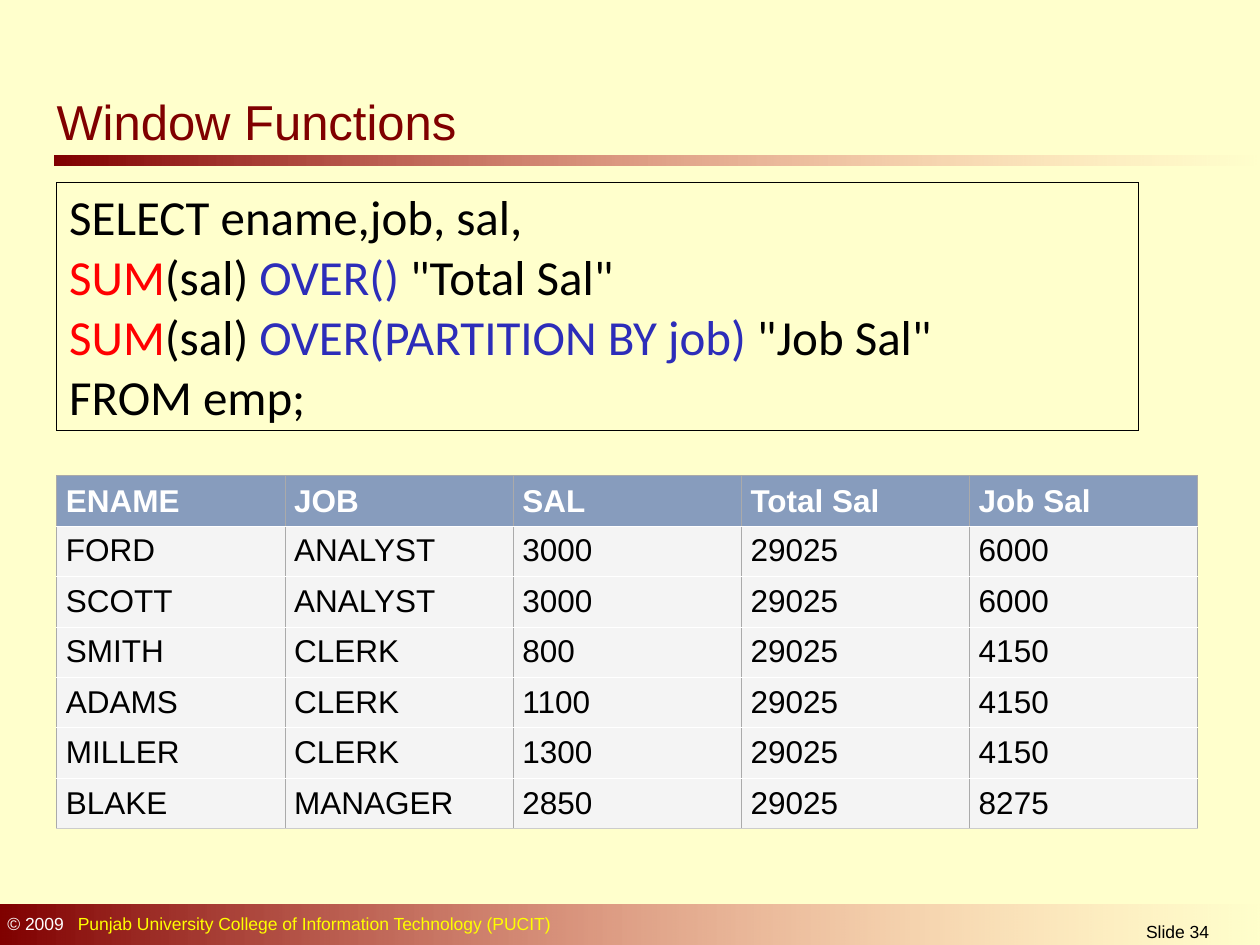
from lxml import etree
from pptx import Presentation
from pptx import util as u
from pptx.dml.color import RGBColor
from pptx.enum import shapes, text
from pptx.oxml import ns

COLORS = {
    "background": "FFFFCC", "maroon": "800000", "rose": "FF8585",
    "white": "FFFFFF", "yellow": "FFFF00", "black": "000000",
    "function": "FF0000", "window": "2D2DB9", "header": "879CBD",
    "body": "F4F4F4", "column_rule": "AAAAAA", "last_rule": "CCCCCC",
}

QUERY = [
    [("SELECT ename,job, sal,", "black")],
    [("SUM", "function"), ("(sal) ", "black"), ("OVER() ", "window"),
     ('"Total Sal"', "black")],
    [("SUM", "function"), ("(sal) ", "black"),
     ("OVER(PARTITION BY job) ", "window"), ('"Job Sal"', "black")],
    [("FROM emp;", "black")],
]

RESULT = [
    ["ENAME", "JOB", "SAL", "Total Sal", "Job Sal"],
    ["FORD", "ANALYST", "3000", "29025", "6000"],
    ["SCOTT", "ANALYST", "3000", "29025", "6000"],
    ["SMITH", "CLERK", "800", "29025", "4150"],
    ["ADAMS", "CLERK", "1100", "29025", "4150"],
    ["MILLER", "CLERK", "1300", "29025", "4150"],
    ["BLAKE", "MANAGER", "2850", "29025", "8275"],
]


def rgb(name):
    """Return the named colour."""
    return RGBColor.from_string(COLORS[name])


def write(paragraph, runs, size, font="Arial", bold=False):
    """Fill a paragraph with (wording, colour) runs in one font."""
    paragraph.font.name = font
    paragraph.font.size = u.Pt(size)
    paragraph.font.bold = bold
    if len(runs) == 1:
        paragraph.font.color.rgb = rgb(runs[0][1])
    for wording, color in runs:
        run = paragraph.add_run()
        run.text = wording
        if len(runs) > 1:
            run.font.color.rgb = rgb(color)


def add_label(slide, left, top, width, height):
    """Add a wrapping text box and return its first paragraph."""
    label = slide.shapes.add_textbox(u.Cm(left), u.Cm(top), u.Cm(width), u.Cm(height))
    label.text_frame.word_wrap = True
    return label.text_frame.paragraphs[0]


def add_fading_bar(slide, left, top, width, height):
    """Add a bar that fades from maroon to nothing."""
    bar = slide.shapes.add_shape(shapes.MSO_SHAPE.RECTANGLE, u.Cm(left), u.Cm(top),
                                 u.Cm(width), u.Cm(height))
    bar.shadow.inherit = False
    bar.line.fill.background()
    bar.fill.gradient()
    bar.fill.gradient_angle = 0
    for stop, color, position in zip(bar.fill.gradient_stops, ("maroon", "rose"), (0, 1)):
        stop.color.rgb = rgb(color)
        stop.position = position
    faded = bar._element.findall(".//" + ns.qn("a:srgbClr"))[-1]
    etree.SubElement(faded, ns.qn("a:alpha"), val="0")


def add_plain_table(slide, rows, columns, left, top, width, height):
    """Add a table without header or banded styling."""
    table = slide.shapes.add_table(rows, columns, u.Cm(left), u.Cm(top),
                                   u.Cm(width), u.Cm(height)).table
    table.first_row = table.horz_banding = False
    return table


def set_borders(cell, width, **sides):
    """Draw the cell borders, given as colour names by side."""
    properties = cell._tc.get_or_add_tcPr()
    for side in "LRTB":
        line = etree.SubElement(properties, ns.qn("a:ln" + side), w=str(u.Pt(width)))
        fill = etree.SubElement(line, ns.qn("a:solidFill"))
        etree.SubElement(fill, ns.qn("a:srgbClr"), val=COLORS[sides[side]])


def add_title(slide, left, top, width, height):
    """Add the title and the bar below it."""
    add_fading_bar(slide, left + 0.2, top + 1.4, 25.4 - left - 0.2, 0.2)
    write(add_label(slide, left, top, width, height), [("Window Functions", "maroon")], 28)


def add_query(slide, left, top, width, height):
    """Add the framed query."""
    cell = add_plain_table(slide, 1, 1, left, top, width, height).cell(0, 0)
    set_borders(cell, 0.45, **dict.fromkeys("LRTB", "black"))
    cell.fill.background()
    for index, runs in enumerate(QUERY):
        frame = cell.text_frame
        line = frame.add_paragraph() if index else frame.paragraphs[0]
        write(line, runs, 28, "Calibri")


def add_result(slide, left, top, width, header_height, row_height):
    """Add the result table of the query."""
    last = len(RESULT) - 1
    table = add_plain_table(slide, len(RESULT), len(RESULT[0]), left, top, width,
                            header_height + last * row_height)
    for index, values in enumerate(RESULT):
        header = index == 0
        table.rows[index].height = u.Cm(header_height if header else row_height)
        for column, value in enumerate(values):
            cell = table.cell(index, column)
            cell.margin_left = cell.margin_right = u.Cm(0.19)
            cell.vertical_anchor = (text.MSO_ANCHOR.BOTTOM if header
                                    else text.MSO_ANCHOR.MIDDLE)
            set_borders(cell, 0.28, L="column_rule", R="column_rule",
                        T="column_rule" if header else "white",
                        B="last_rule" if index == last else "white")
            cell.fill.solid()
            cell.fill.fore_color.rgb = rgb("header" if header else "body")
            write(cell.text_frame.paragraphs[0],
                  [(value, "white" if header else "black")], 18, bold=header)


def add_footer(slide, left, top, width, height):
    """Add the footer bar with the copyright line and slide number."""
    add_fading_bar(slide, left, top, width, height)
    owner = add_label(slide, left - 0.1, top + 0.05, 16.4, 0.69)
    tabs = etree.SubElement(owner._p.get_or_add_pPr(), ns.qn("a:tabLst"))
    etree.SubElement(tabs, ns.qn("a:tab"), pos=str(u.Cm(1.42)), algn="l")
    write(owner, [("© 2009", "white"),
                  ("\tPunjab University College of Information Technology (PUCIT)",
                   "yellow")], 10)
    number = add_label(slide, left + 21.1, top + 0.2, 5.28, 0.61)
    number.alignment = text.PP_ALIGN.CENTER
    write(number, [("Slide 34", "black")], 10)


def main():
    """Build and save the slide."""
    deck = Presentation()
    deck.slide_width, deck.slide_height = u.Cm(25.4), u.Cm(19.05)
    slide = deck.slides.add_slide(deck.slide_layouts[6])
    slide.background.fill.solid()
    slide.background.fill.fore_color.rgb = rgb("background")
    add_footer(slide, 0, 18.24, 25.48, 0.89)
    add_title(slide, 0.89, 1.73, 14.4, 1.5)
    add_query(slide, 1.14, 3.68, 21.8, 5)
    add_result(slide, 1.14, 9.58, 23, 1.02, 0.89)
    deck.save("out.pptx")


if __name__ == "__main__":
    main()
